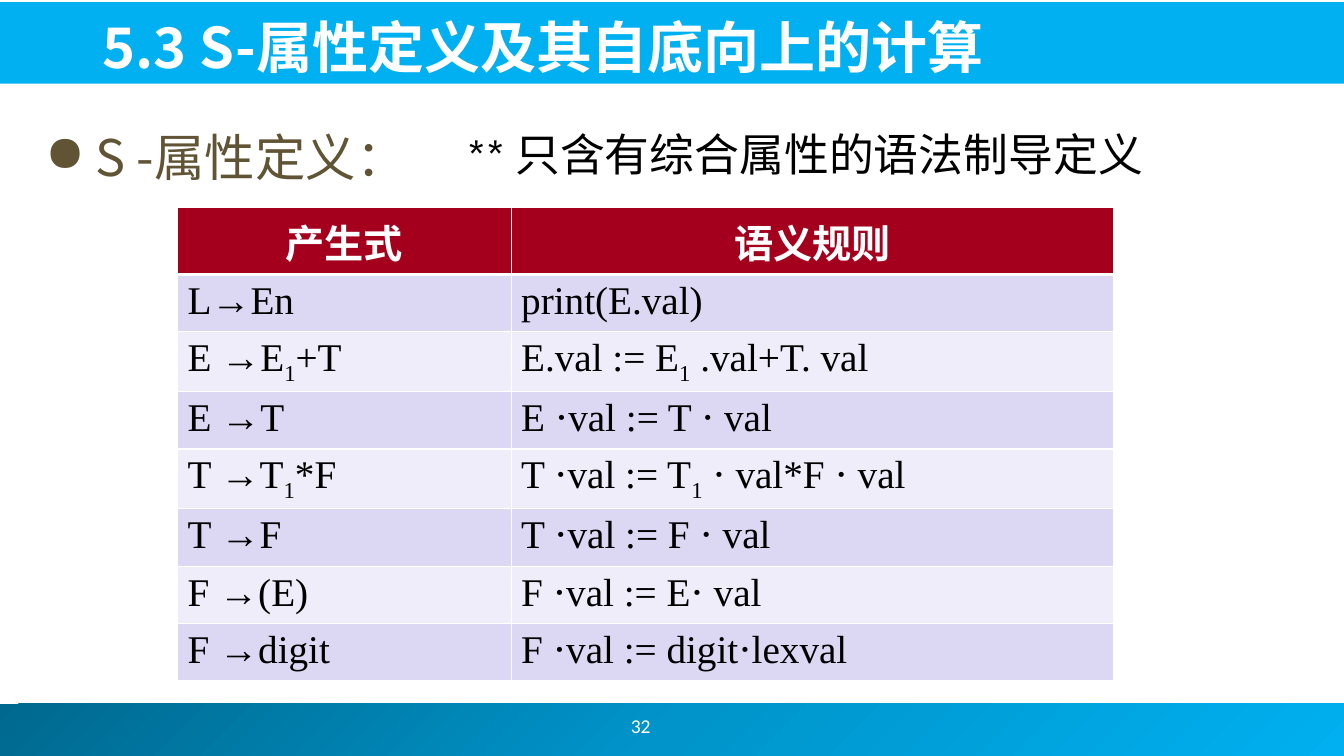
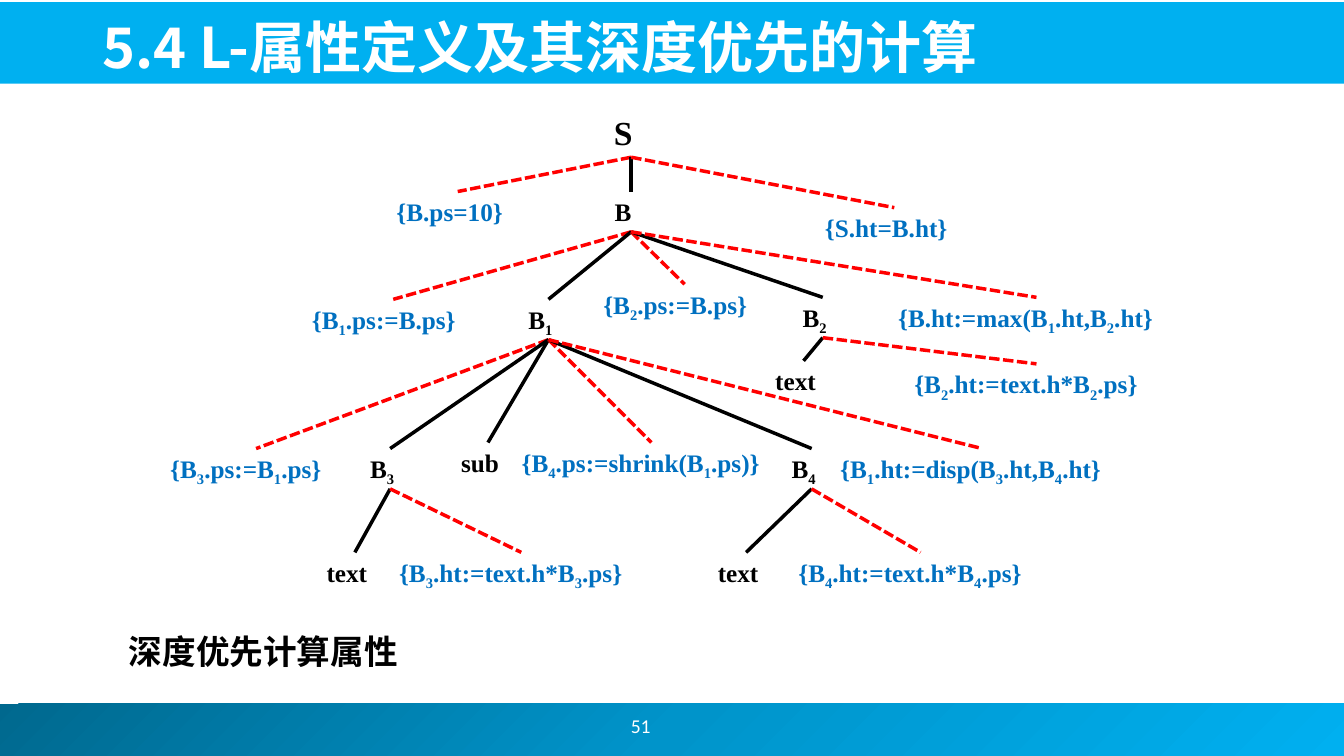
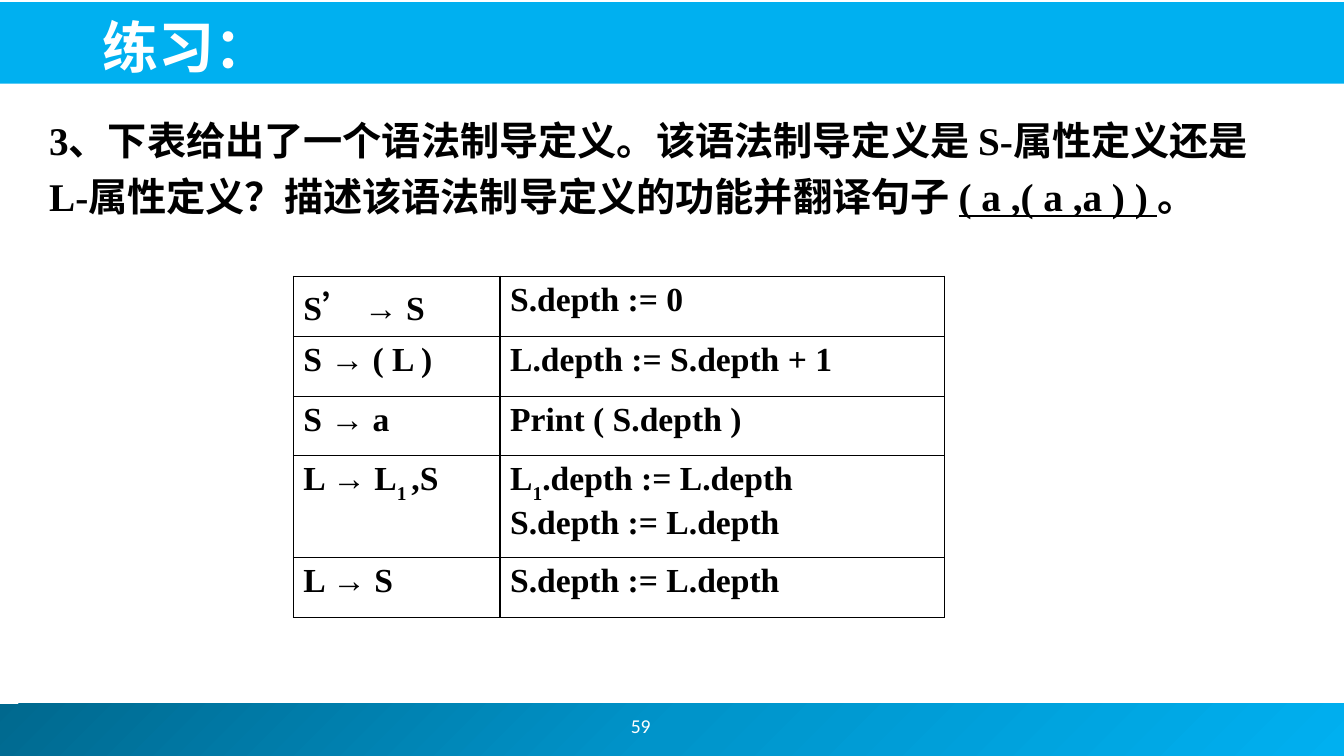
from pptx import Presentation
from pptx.dml.color import RGBColor
from pptx.enum.dml import MSO_LINE
from pptx.enum.shapes import MSO_CONNECTOR, MSO_SHAPE
from pptx.enum.text import MSO_ANCHOR, MSO_AUTO_SIZE, PP_ALIGN
from pptx.oxml import parse_xml
from pptx.oxml.ns import nsdecls, qn
from pptx.util import Inches, Pt

RECT = MSO_SHAPE.RECTANGLE
STRAIGHT = MSO_CONNECTOR.STRAIGHT
SHORT_DASH = MSO_LINE.SQUARE_DOT
LEFT, CENTER = PP_ALIGN.LEFT, PP_ALIGN.CENTER
TOP, MIDDLE, BOTTOM = MSO_ANCHOR.TOP, MSO_ANCHOR.MIDDLE, MSO_ANCHOR.BOTTOM
FIT_SHAPE, NO_FIT = MSO_AUTO_SIZE.SHAPE_TO_FIT_TEXT, MSO_AUTO_SIZE.NONE

COLORS = {
    "white": "FFFFFF", "black": "000000", "sky": "00B0F0",
    "deep": "00688E", "middle": "0094CA", "brown": "605435",
    "blue": "0070C0", "red": "FF0000", "crimson": "A4001D",
    "lilac": "DCD8F4", "pale": "EEEDF9",
}
SERIF, HAN, HAN_TITLE = "Times New Roman", "Noto Sans CJK SC", "Noto Sans CJK JP"

# Font attributes, colour and subscript offset of each kind of text
STYLES = {
    "title": dict(font=dict(size=Pt(40), name=HAN_TITLE, bold=True), color="white"),
    "number": dict(font=dict(size=Pt(14), name="Calibri"), color="white"),
    "topic": dict(font=dict(size=Pt(36), name=HAN_TITLE), color="brown"),
    "remark": dict(font=dict(size=Pt(32), name="Karla"), color="black"),
    "header": dict(font=dict(size=Pt(28), name=SERIF, bold=True), color="white"),
    "rule": dict(font=dict(size=Pt(28), name=SERIF, bold=False), color="black"),
    "root": dict(font=dict(size=Pt(24), name=SERIF, bold=True), color="black"),
    "node": dict(font=dict(size=Pt(18), name=SERIF, bold=True), color="black"),
    "action": dict(font=dict(size=Pt(18), name=SERIF, bold=True), color="blue"),
    "question": dict(font=dict(size=Pt(28), name=SERIF, bold=True), color="black"),
    "answer": dict(font=dict(size=Pt(28), name=SERIF, bold=True, underline=True),
                   color="black"),
    "depth": dict(font=dict(size=Pt(24), name=SERIF, bold=True), color="black", sub=-30),
    "prime": dict(font=dict(size=Pt(24), name=HAN, bold=True), color="black"),
}

# In all texts below, ~ starts and ends a subscript.
S_RULES = [
    ("L→En", "print(E.val)"),
    ("E →E~1~+T", "E.val := E~1~ .val+T. val"),
    ("E →T", "E ⋅val := T ⋅ val"),
    ("T →T~1~*F", "T ⋅val := T~1~ ⋅ val*F ⋅ val"),
    ("T →F", "T ⋅val := F ⋅ val"),
    ("F →(E)", "F ⋅val := E⋅ val"),
    ("F →digit", "F ⋅val := digit⋅lexval"),
]

# Node: label, x of its branch, top, width, children
PARSE_TREE = ("S", 6.26, 1.06, 0.39, [
    ("{B.ps=10}", 4.54, 1.9, 1.27, []),
    ("B", 6.26, 1.9, 0.37, [
        ("{B~1~.ps:=B.ps}", 3.9, 2.97, 1.65, []),
        ("B~1~", 5.44, 2.97, 0.45, [
            ("{B~3~.ps:=B~1~.ps}", 2.54, 4.45, 1.74, []),
            ("B~3~", 3.87, 4.45, 0.45, [
                ("text", 3.52, 5.48, 0.61, []),
                ("{B~3~.ht:=text.h*B~3~.ps}", 5.17, 5.48, 2.46, []),
            ]),
            ("sub", 4.84, 4.39, 0.58, []),
            ("{B~4~.ps:=shrink(B~1~.ps)}", 6.46, 4.39, 2.61, []),
            ("B~4~", 8.05, 4.45, 0.45, [
                ("text", 7.4, 5.48, 0.61, []),
                ("{B~4~.ht:=text.h*B~4~.ps}", 9.13, 5.48, 2.46, []),
            ]),
            ("{B~1~.ht:=disp(B~3~.ht,B~4~.ht}", 9.74, 4.45, 2.85, []),
        ]),
        ("{B~2~.ps:=B.ps}", 6.79, 2.82, 1.65, []),
        ("B~2~", 8.16, 2.95, 0.45, [
            ("text", 7.97, 3.58, 0.61, []),
            ("{B~2~.ht:=text.h*B~2~.ps}", 10.28, 3.61, 2.46, []),
        ]),
        ("{B.ht:=max(B~1~.ht,B~2~.ht}", 10.28, 2.95, 2.78, []),
    ]),
    ("{S.ht=B.ht}", 8.87, 2.06, 1.43, []),
])
BRANCH_SHIFT = 0.08  # branches start a little right of a label's middle

# Row height, production, lines of the semantic rule
DEPTH_RULES = [
    (0.6, [("S", "depth"), ("’", "prime"), (" → S", "depth")], ["S.depth := 0"]),
    (0.59, [("S → ( L )", "depth")], ["L.depth := S.depth + 1"]),
    (0.59, [("S → a", "depth")], ["Print ( S.depth )"]),
    (1.01, [("L → L~1 ~,S", "depth")], ["L~1~.depth := L.depth", "S.depth := L.depth"]),
    (0.6, [("L → S", "depth")], ["S.depth := L.depth"]),
]


def rgb(color):
    return RGBColor.from_string(COLORS[color])


class Deck:
    """The presentation, its look and the slide being filled."""

    def __init__(self):
        self.prs = Presentation()
        self.prs.slide_width, self.prs.slide_height = Inches(13.33), Inches(7.5)
        self.shapes = None

    def slide(self, title, number):
        self.shapes = self.prs.slides.add_slide(self.prs.slide_layouts[6]).shapes
        footer = self.band(-0.05, 6.98, 13.39, 0.52)
        stops = "".join(
            f'<a:gs pos="{pos}"><a:srgbClr val="{COLORS[color]}"/></a:gs>'
            for pos, color in ((0, "deep"), (50000, "middle"), (100000, "sky")))
        solid = footer._element.spPr.find(qn("a:solidFill"))
        solid.getparent().replace(solid, parse_xml(
            f'<a:gradFill {nsdecls("a")} rotWithShape="1"><a:gsLst>{stops}</a:gsLst>'
            '<a:lin ang="2700000" scaled="0"/></a:gradFill>'))
        self.band(-0.02, 0.02, 13.36, 0.81)
        self.text([(number, "number")], 4.91, 6.95, 2.89, 0.5, align=CENTER, anchor=MIDDLE)
        self.text([(title, "title")], 0.92, 0.05, 11.97, 0.79, anchor=BOTTOM)

    def band(self, left, top, width, height):
        band = self.shapes.add_shape(RECT, *map(Inches, (left, top, width, height)))
        band.shadow.inherit = False
        band.fill.solid()
        band.fill.fore_color.rgb = rgb("sky")
        band.line.fill.background()
        return band

    def add_runs(self, paragraph, runs):
        """Add (text, style name) runs; ~ toggles subscript."""
        for text, style_name in runs:
            style = STYLES[style_name]
            for i, part in enumerate(text.split("~")):
                if not part:
                    continue
                run = paragraph.add_run()
                run.text = part
                for key, value in style["font"].items():
                    setattr(run.font, key, value)
                run.font.color.rgb = rgb(style["color"])
                props = run._r.get_or_add_rPr()
                name = style["font"]["name"]
                han = name if name == HAN_TITLE else HAN
                props.append(parse_xml(f'<a:ea {nsdecls("a")} typeface="{han}"/>'))
                if i % 2:
                    props.set("baseline", str(style.get("sub", -25) * 1000))

    def indent(self, paragraph, margin, first=0):
        props = paragraph._p.get_or_add_pPr()
        props.set("marL", str(Inches(margin)))
        props.set("indent", str(Inches(first)))
        return props

    def text(self, runs, left, top, width, height, align=LEFT, anchor=TOP,
             wrap=True, fit=NO_FIT, before=0, spacing=None):
        """Place one paragraph; before is a percentage of the text size."""
        box = self.shapes.add_textbox(*map(Inches, (left, top, width, height)))
        frame = box.text_frame
        frame.word_wrap, frame.auto_size, frame.vertical_anchor = wrap, fit, anchor
        paragraph = frame.paragraphs[0]
        paragraph.alignment = align
        if spacing:
            paragraph.line_spacing = spacing
        if before:
            paragraph.space_before = Pt(0)
            gap = paragraph._p.pPr.find(qn("a:spcBef"))
            gap.remove(gap[0])
            gap.append(parse_xml(f'<a:spcPct {nsdecls("a")} val="{before * 1000}"/>'))
        self.add_runs(paragraph, runs)
        return paragraph

    def bullet(self, paragraph):
        props = self.indent(paragraph, 0.5, -0.5)
        props.append(parse_xml(f'<a:buChar {nsdecls("a")} char="●"/>'))

    def branch(self, start, end, color, dashed):
        line = self.shapes.add_connector(STRAIGHT, *map(Inches, start + end))
        line.line.color.rgb = rgb(color)
        line.line.width = Pt(2.5)
        if dashed:
            line.line.dash_style = SHORT_DASH
        line._element.spPr.append(parse_xml(f'<a:effectLst {nsdecls("a")}/>'))

    def tree(self, node, parent_foot=None):
        """Draw a node, the branch from its parent and all nodes below it."""
        label, x, top, width, children = node
        is_action = label.startswith("{")
        style = "action" if is_action else "node" if parent_foot else "root"
        height = 0.4 if parent_foot else 0.5
        if parent_foot:
            self.branch(parent_foot, (x, top), "red" if is_action else "black", is_action)
        # Actions with subscripts are left-aligned
        to_left = is_action and "~" in label
        self.text([(label, style)], x - BRANCH_SHIFT - width / 2, top, width, height,
                  align=LEFT if to_left else CENTER, wrap=False, fit=FIT_SHAPE,
                  before=50 if to_left else 0)
        for child in children:
            self.tree(child, (x, top + height))

    def table(self, left, top, widths, heights):
        frame = self.shapes.add_table(
            len(heights), len(widths),
            *map(Inches, (left, top, sum(widths), sum(heights))))
        grid = frame.table
        grid.first_row = grid.horz_banding = False
        for column, width in zip(grid.columns, widths):
            column.width = Inches(width)
        for row, height in zip(grid.rows, heights):
            row.height = Inches(height)
        return grid

    def cell(self, cell, lines, border, fill=None, align=LEFT, hanging=0, top=1, bottom=1):
        """Fill a cell with lines of runs; top and bottom are border widths."""
        props = cell._tc.get_or_add_tcPr()
        for side, width in (("L", 1), ("R", 1), ("T", top), ("B", bottom)):
            props.append(parse_xml(
                f'<a:ln{side} {nsdecls("a")} w="{Pt(width)}"><a:solidFill>'
                f'<a:srgbClr val="{COLORS[border]}"/></a:solidFill></a:ln{side}>'))
        if fill:
            cell.fill.solid()
            cell.fill.fore_color.rgb = rgb(fill)
        else:
            cell.fill.background()
        for i, runs in enumerate(lines):
            frame = cell.text_frame
            paragraph = frame.add_paragraph() if i else frame.paragraphs[0]
            paragraph.alignment = align
            if hanging:
                self.indent(paragraph, hanging, -hanging)
            self.add_runs(paragraph, runs)


def s_attributes(deck):
    deck.slide("5.3 S-属性定义及其自底向上的计算", "32")
    topic = deck.text([("S -属性定义：", "topic")], 0.35, 1.08, 9.29, 0.79,
                      before=20, spacing=1.2)
    deck.bullet(topic)
    remark = deck.text([("** 只含有综合属性的语法制导定义", "remark")], 4.04, 1.1, 9.29, 0.87,
                       before=20, spacing=1.2)
    deck.indent(remark, 0.5)
    rows = [("产生式", "语义规则")] + S_RULES
    grid = deck.table(1.76, 2.06, [3.31, 5.98], [0.57] * len(rows))
    for r, row in enumerate(rows):
        if r == 0:
            style, look = "header", dict(fill="crimson", align=CENTER, bottom=3)
        else:
            style, look = "rule", dict(fill="lilac" if r % 2 else "pale",
                                       top=3 if r == 1 else 1)
        for c, text in enumerate(row):
            deck.cell(grid.cell(r, c), [[(text, style)]], "white", **look)


def l_attributes(deck):
    deck.slide("5.4 L-属性定义及其深度优先的计算", "51")
    deck.tree(PARSE_TREE)
    deck.text([("深度优先计算属性", "root")], 1.18, 6.21, 3.09, 0.5, fit=FIT_SHAPE, before=50)


def exercise(deck):
    deck.slide("练习：", "59")
    deck.text([
        ("3、下表给出了一个语法制导定义。该语法制导定义是 S-属性定义还是 L-属性定义？"
         "描述该语法制导定义的功能并翻译句子 ", "question"),
        ("( a ,( a ,a ) ) ", "answer"),
        ("。", "question"),
    ], 0.39, 1.01, 12.14, 1.57, before=20, spacing=1.2)
    grid = deck.table(2.91, 2.74, [2.05, 4.41], [height for height, _, _ in DEPTH_RULES])
    for r, (_, production, rules) in enumerate(DEPTH_RULES):
        rule_lines = [[(rule, "depth")] for rule in rules]
        for c, lines in enumerate(([production], rule_lines)):
            deck.cell(grid.cell(r, c), lines, "black", hanging=0.38)


def main():
    deck = Deck()
    for build in (s_attributes, l_attributes, exercise):
        build(deck)
    deck.prs.save("out.pptx")


if __name__ == "__main__":
    main()
